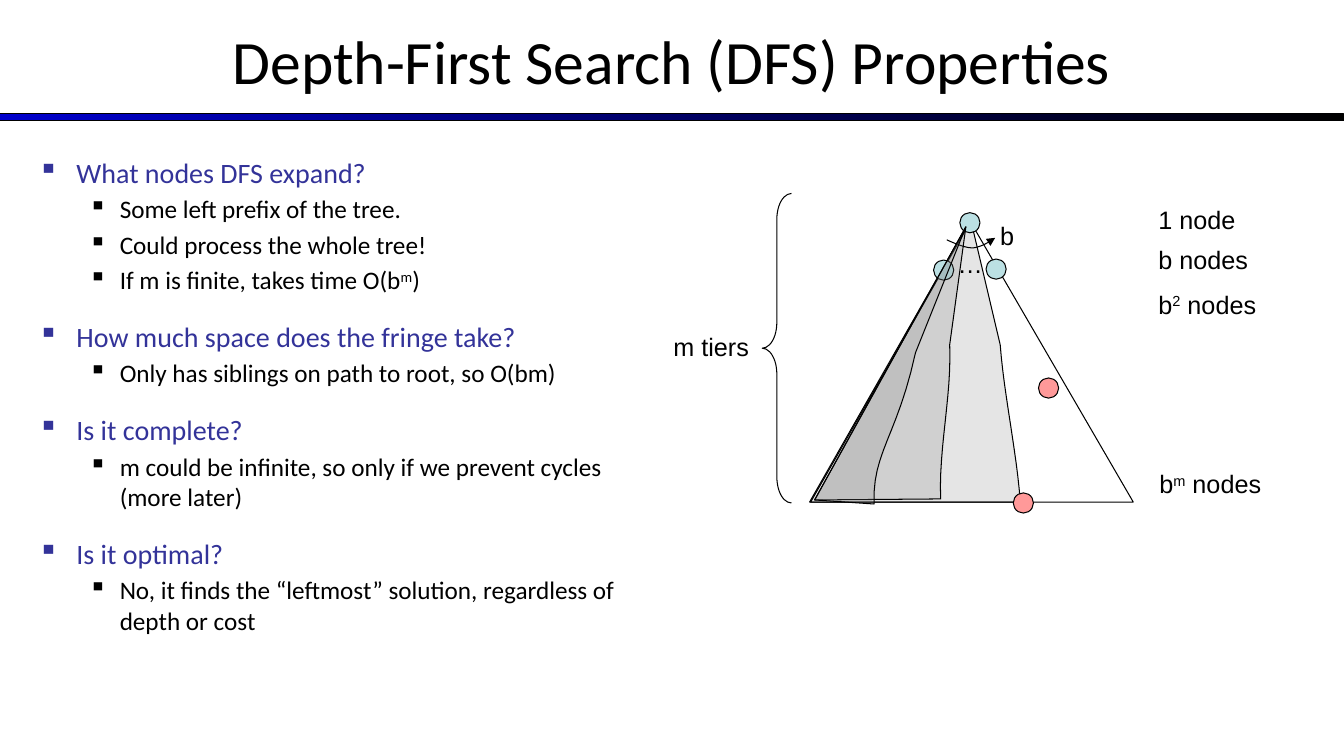
from lxml import etree
from pptx import Presentation
from pptx.dml.color import RGBColor
from pptx.enum.shapes import MSO_SHAPE
from pptx.enum.text import MSO_ANCHOR, PP_ALIGN
from pptx.oxml.ns import qn
from pptx.util import Inches, Pt

BLACK, BLUE, GRAY = "000000", "333399", "808080"
NODE, GOAL = "BBE0E3", "FF9999"

QUESTIONS = [
    ("What nodes DFS expand?",
     ["Some left prefix of the tree.",
      "Could process the whole tree!",
      "If m is finite, takes time O(b^m^)"]),
    ("How much space does the fringe take?",
     ["Only has siblings on path to root, so O(bm)"]),
    ("Is it complete?",
     ["m could be infinite, so only if we prevent cycles (more later)"]),
    ("Is it optimal?",
     ["No, it finds the “leftmost” solution, regardless of depth or cost"]),
]

LABELS = [
    ("…", 9.4, 2.41, 0.3),
    ("b", 9.82, 2.14, 0.33),
    ("1 node", 11.39, 1.98, 1.22),
    ("b nodes", 11.39, 2.37, 1.22),
    ("b^2^ nodes", 11.39, 2.82, 1.22),
    ("b^m^ nodes", 11.4, 4.6, 1.6),
    ("m tiers", 6.58, 3.24, 1.38),
]

# Outlines: a start point, then line ends (one point) or curves (three points).
WIDE_PREFIX = [(8.04, 4.98), [(10.12, 4.98)],
               [(10.08, 4.46), (9.96, 3.93), (9.92, 3.42)], [(9.63, 2.19)]]
MIDDLE_PREFIX = [(8.08, 4.96), [(9.33, 4.95)],
                 [(9.31, 4.44), (9.44, 3.93), (9.42, 3.42)], [(9.58, 2.25)]]
NARROW_PREFIX = [(8.08, 4.96), [(8.67, 5)],
                 [(8.65, 4.49), (8.9, 4.33), (9.08, 3.5)], [(9.58, 2.25)]]
TREE = [(8.03, 4.98), [(11.24, 4.98)], [(9.62, 2.19)]]
BRANCH_ARC = [(9.39, 2.38), [(9.48, 2.42), (9.57, 2.46), (9.65, 2.46)],
              [(9.73, 2.45), (9.8, 2.41), (9.87, 2.36)]]


def rgb(color):
    return RGBColor.from_string(color)


def style(sp, fill=None, alpha=None):
    """Black thin outline, no shadow, and an optional (translucent) fill."""
    sp.shadow.inherit = False
    sp.line.color.rgb = rgb(BLACK)
    sp.line.width = Pt(0.75)
    if fill is None:
        sp.fill.background()
        return
    sp.fill.solid()
    sp.fill.fore_color.rgb = rgb(fill)
    if alpha:
        clr = sp._element.spPr.find(qn("a:solidFill"))[0]
        etree.SubElement(clr, qn("a:alpha")).set("val", str(alpha * 1000))


def add_runs(p, text, size, font, color=BLACK):
    """Add text to p; parts between carets become superscript."""
    for i, part in enumerate(text.split("^")):
        r = p.add_run()
        r.text = part
        r.font.size = Pt(size)
        r.font.name = font
        r.font.color.rgb = rgb(color)
        if i % 2:
            r.font._element.set("baseline", "30000")


def add_text_frame(s, left, top, width, height):
    tf = s.shapes.add_textbox(Inches(left), Inches(top),
                              Inches(width), Inches(height)).text_frame
    tf.word_wrap = True
    return tf


def add_title(s, text):
    tf = add_text_frame(s, 0, -0.03, 13.33, 1.25)
    tf.vertical_anchor = MSO_ANCHOR.MIDDLE
    p = tf.paragraphs[0]
    p.alignment = PP_ALIGN.CENTER
    add_runs(p, text, 44, "Calibri")


def add_title_bar(s):
    sp = s.shapes.add_shape(MSO_SHAPE.RECTANGLE, 0, Inches(1.13),
                            Inches(13.33), Inches(0.07))
    style(sp)
    sp.fill.gradient()
    sp.fill.gradient_angle = 0
    for stop, color in zip(sp.fill.gradient_stops, ("0000CC", BLACK)):
        stop.color.rgb = rgb(color)


def add_bullet(p, color, indent, hanging):
    pPr = p._p.get_or_add_pPr()
    pPr.set("marL", str(Inches(indent)))
    pPr.set("indent", str(-Inches(hanging)))
    clr = etree.SubElement(pPr, qn("a:buClr"))
    etree.SubElement(clr, qn("a:srgbClr")).set("val", color)
    etree.SubElement(pPr, qn("a:buChar")).set("char", "▪")


def add_questions(s):
    tf = add_text_frame(s, 0.28, 1.49, 5.97, 5.17)
    for i, (question, answers) in enumerate(QUESTIONS):
        p = tf.add_paragraph() if i else tf.paragraphs[0]
        p.space_before = Pt(17.5 if i else 0)
        add_bullet(p, BLUE, 0.38, 0.38)
        add_runs(p, question, 20, "Calibri", BLUE)
        for answer in answers:
            p = tf.add_paragraph()
            p.level = 1
            p.space_before = Pt(3.6)
            add_bullet(p, BLACK, 0.81, 0.31)
            add_runs(p, answer, 18, "Calibri")


def curve_points(start, c1, c2, end, steps=12):
    """Points along a cubic curve, without its start."""
    for i in range(1, steps + 1):
        t = i / steps
        weights = ((1 - t) ** 3, 3 * t * (1 - t) ** 2, 3 * t * t * (1 - t), t ** 3)
        yield tuple(sum(w * pt[axis] for w, pt in zip(weights, (start, c1, c2, end)))
                    for axis in (0, 1))


def add_outline(s, outline, closed=True, fill=None, alpha=None):
    start, *segments = outline
    points = [start]
    for seg in segments:
        points += curve_points(points[-1], *seg) if len(seg) == 3 else seg
    emu = [(Inches(x), Inches(y)) for x, y in points]
    builder = s.shapes.build_freeform(*emu[0])
    builder.add_line_segments(emu[1:], close=closed)
    sp = builder.convert_to_shape()
    style(sp, fill, alpha)
    return sp


def add_node(s, left, top, color):
    sp = s.shapes.add_shape(MSO_SHAPE.OVAL, Inches(left), Inches(top),
                            Inches(0.2), Inches(0.2))
    style(sp, color)


def add_brace(s):
    sp = s.shapes.add_shape(MSO_SHAPE.LEFT_BRACE, Inches(7.56), Inches(1.92),
                            Inches(0.29), Inches(3.07))
    sp.adjustments[0] = 0.884
    style(sp)


def add_label(s, text, left, top, width):
    tf = add_text_frame(s, left, top, width, 0.4)
    add_runs(tf.paragraphs[0], text, 18, "Arial")


def main():
    prs = Presentation()
    prs.slide_width, prs.slide_height = Inches(13.33), Inches(7.5)
    s = prs.slides.add_slide(prs.slide_layouts[6])

    add_title_bar(s)
    add_outline(s, WIDE_PREFIX, fill=GRAY, alpha=20)
    add_title(s, "Depth-First Search (DFS) Properties")

    add_outline(s, TREE)
    for left, top in ((9.52, 2.11), (9.26, 2.58), (9.78, 2.57)):
        add_node(s, left, top, NODE)
    arc = add_outline(s, BRANCH_ARC, closed=False)
    etree.SubElement(arc.line._get_or_add_ln(), qn("a:tailEnd")).set("type", "triangle")
    for label in LABELS:
        add_label(s, *label)
    add_node(s, 10.05, 4.89, GOAL)
    add_brace(s)

    add_questions(s)
    for prefix in (MIDDLE_PREFIX, NARROW_PREFIX):
        add_outline(s, prefix, fill=GRAY, alpha=20)
    add_node(s, 10.3, 3.75, GOAL)

    prs.save("out.pptx")


if __name__ == "__main__":
    main()
